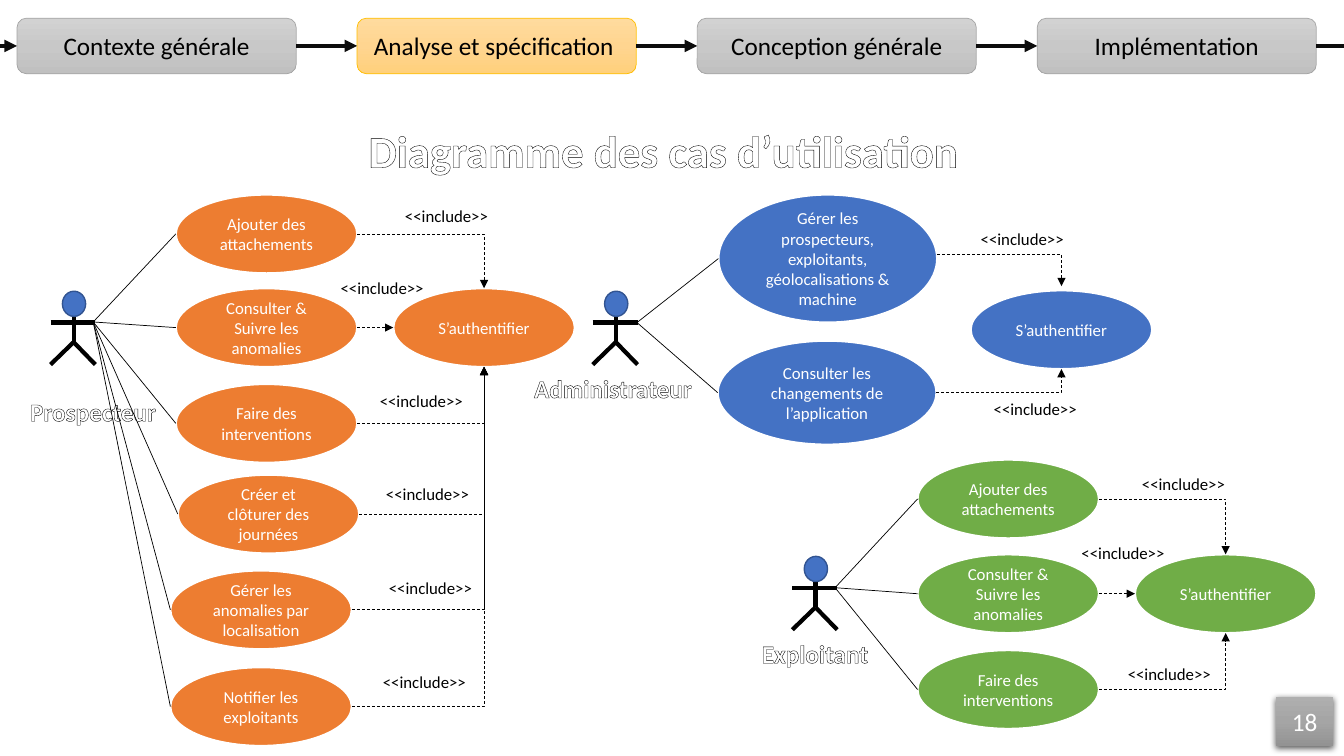
from lxml import etree
from pptx import Presentation
from pptx import util as u
from pptx.dml.color import RGBColor
from pptx.enum import dml, shapes, text
from pptx.oxml import ns, parse_xml

HUES = {
    "ink": "000000", "paper": "FFFFFF", "arrow": "0D0D0D",
    "orange": "ED7D31", "blue": "4472C4", "green": "70AD47", "rim": "325491",
    "grey": "A5A5A5", "gold": "FFC000",
}
FADES = {
    "grey": ("D2D2D2", "C8C8C8", "C0C0C0"),
    "gold": ("FFDB9E", "FFD590", "FFD07C"),
    "page": ("AFAFAF", "A5A5A5", "939393"),
}
KIND = shapes.MSO_SHAPE
LINK = shapes.MSO_CONNECTOR
MID = text.PP_ALIGN.CENTER
OVAL = (129.6, 56.2)


def rgb(name):
    return RGBColor.from_string(HUES[name])


def sub(node, tag, **attrs):
    return etree.SubElement(node, ns.qn(tag), **attrs)


class Board:
    """Holds the slide and the shared style; all lengths are in points."""

    font = "Calibri"

    def __init__(self, slide):
        self.slide = slide

    def letter(self, shape, words, size, hue, align=None, edge=0):
        """Fill a shape with text; edge is the width of the letter outline."""
        frame = shape.text_frame
        frame.text = words
        frame.word_wrap = True
        para = frame.paragraphs[0]
        para.alignment = align
        run = para.runs[0]
        run.font.name, run.font.size = self.font, u.Pt(size)
        run.font.color.rgb = rgb(hue)
        if edge:
            run.font.bold = True
            ln = etree.Element(ns.qn("a:ln"), w=str(u.Pt(edge)))
            sub(sub(ln, "a:solidFill"), "a:srgbClr", val=HUES["ink"])
            run.font._element.insert(0, ln)

    def title(self, words, x, y, w, h):
        box = self.slide.shapes.title
        box.left, box.top, box.width, box.height = map(u.Pt, (x, y, w, h))
        box.text_frame.auto_size = text.MSO_AUTO_SIZE.NONE
        box.text_frame.vertical_anchor = text.MSO_ANCHOR.TOP
        self.letter(box, words, 32, "paper", MID, 0.75)

    def label(self, words, x, y, w, h, size=12, hue="ink", edge=0):
        box = self.slide.shapes.add_textbox(*map(u.Pt, (x, y, w, h)))
        self.letter(box, words, size, hue, edge=edge)

    def shape(self, kind, x, y, w, h, fill=None, line=None, width=1.5):
        item = self.slide.shapes.add_shape(kind, *map(u.Pt, (x, y, w, h)))
        item.shadow.inherit = False
        item.text_frame.vertical_anchor = text.MSO_ANCHOR.MIDDLE
        if fill:
            item.fill.solid()
            item.fill.fore_color.rgb = rgb(fill)
        if line:
            item.line.color.rgb = rgb(line)
            item.line.width = u.Pt(width)
        else:
            item.line.fill.background()
        return item

    def fade(self, item, name):
        """Give a shape a three-stop vertical gradient."""
        grad = parse_xml(f'<a:gradFill {ns.nsdecls("a")} rotWithShape="1"/>')
        stops = sub(grad, "a:gsLst")
        for i, hue in enumerate(FADES[name]):
            sub(sub(stops, "a:gs", pos=str(50000 * i)), "a:srgbClr", val=hue)
        sub(grad, "a:lin", ang="5400000", scaled="0")
        item._element.spPr.find(ns.qn("a:prstGeom")).addnext(grad)

    def line(self, x1, y1, x2, y2, width=0.5, hue="ink", tip=False, kind=LINK.STRAIGHT):
        item = self.slide.shapes.add_connector(kind, *map(u.Pt, (x1, y1, x2, y2)))
        item.line.color.rgb = rgb(hue)
        item.line.width = u.Pt(width)
        if kind == LINK.ELBOW:
            item.line.dash_style = dml.MSO_LINE.DASH
        if tip:
            sub(item.line._get_or_add_ln(), "a:tailEnd", type="triangle")
        sub(item._element.spPr, "a:effectLst")
        return item

    def bend(self, x1, y1, x2, y2):
        """Dashed arrow that runs sideways, then turns once."""
        item = self.line(x1, y1, x2, y2, tip=True, kind=LINK.ELBOW)
        if y1 != y2:
            item._element.spPr.find(ns.qn("a:prstGeom")).set("prst", "bentConnector2")

    def oval(self, words, x, y, w, h, fill):
        item = self.shape(KIND.OVAL, x, y, w, h, fill, "paper")
        self.letter(item, words, 12, "paper", MID)

    def actor(self, name, x, y, spot):
        """Stick figure whose arms cross its body at x, y."""
        limbs = [(0, -10, 0, 14), (-16.5, 0, 15.5, 0),
                 (0, 14, 15.5, 30), (0, 14, -16.5, 30)]
        for x1, y1, x2, y2 in limbs:
            self.line(x + x1, y + y1, x + x2, y + y2, 3)
        self.shape(KIND.OVAL, x - 8, y - 22.4, 16.6, 18, "blue", "rim", 1)
        self.label(name, *spot, 28.8, 18, "paper", 0.8)

    def cases(self, hue, hand, auth, rows):
        """Draw the use cases of one actor, each tied to the hand and to the login."""
        ax, ay = auth
        aw, ah = OVAL
        self.oval("S’authentifier", ax, ay, aw, ah, hue)
        for words, x, y, (w, h), spot, lift in rows:
            mid = y + h / 2
            self.oval(words, x, y, w, h, hue)
            self.line(*hand, x, mid)
            if y == ay:
                goal = ax, mid
            else:
                goal = ax + aw / 2, (ay if y < ay else ay + ah) - lift
            self.bend(x + w, mid - lift, *goal)
            self.label("<<include>>", *spot, 106.6, 21.6)

    def steps(self, names, now):
        """Draw the chapter bar with the current chapter in gold."""
        left, gap, top, w, h = 12.2, 242.9, 13, 199.4, 39.6
        mid = top + h / 2
        boxes = []
        for i, name in enumerate(names):
            tone = "gold" if i == now else "grey"
            box = self.shape(KIND.ROUNDED_RECTANGLE, left + i * gap, top, w, h, None, tone, 0.5)
            self.fade(box, tone)
            self.letter(box, name, 18, "ink", MID)
            boxes.append(box)
        for a, b in zip([None] + boxes, boxes + [None]):
            arrow = self.line(-11.5, mid, 972, mid, 3, "arrow", True)
            if a is not None:
                arrow.begin_connect(a, 3)
            if b is not None:
                arrow.end_connect(b, 1)

    def page(self, number):
        box = self.shape(KIND.RECTANGLE, 911.5, 497.5, 41, 35.3)
        self.fade(box, "page")
        self.letter(box, number, 18, "paper", MID)
        glow = sub(box._element.spPr.find(ns.qn("a:effectLst")), "a:outerShdw",
                   blurRad=str(u.Pt(4.5)), dist=str(u.Pt(1.5)), dir="5400000",
                   algn="ctr", rotWithShape="0")
        sub(sub(glow, "a:srgbClr", val=HUES["ink"]), "a:alpha", val="63000")


def main():
    deck = Presentation()
    deck.slide_width, deck.slide_height = u.Pt(960), u.Pt(540)
    board = Board(deck.slides.add_slide(deck.slide_layouts[5]))
    board.title("Diagramme des cas d’utilisation", 83.5, 84.2, 781.2, 46.1)

    board.actor("Administrateur", 439.9, 230.4, (374.4, 262.8, 131.8))
    board.cases("blue", (455, 230.4), (693.4, 207.4), [
        ("Gérer les prospecteurs, exploitants, géolocalisations & machine",
         513.2, 139, (156.2, 91.4), (693.4, 159.8), 3),
        ("Consulter les changements de l’application",
         512.7, 243.4, (156.2, 74.2), (702.7, 281.5), 0),
    ])
    add, see, act = "Ajouter des attachements", "Consulter & Suivre les anomalies", "Faire des interventions"
    board.actor("Exploitant", 582.5, 419.8, (537.1, 452.2, 103.7))
    board.cases("green", (596.5, 419.8), (810.7, 396), [
        (add, 655.4, 328.3, OVAL, (808.6, 334.8), 0),
        (see, 655.4, 396, OVAL, (765.4, 384.5), 0),
        (act, 655.4, 464.4, OVAL, (798.5, 470.2), 0),
    ])
    board.actor("Prospecteur", 52.6, 230.4, (14.4, 279.4, 113))
    board.cases("orange", (66.6, 230), (281, 205.9), [
        (add, 125.6, 139, OVAL, (282.2, 143.3), 0),
        (see, 125.6, 205.9, OVAL, (236.2, 195.1), 0),
        (act, 125.6, 274.3, OVAL, (264.2, 275.8), 0),
        ("Créer et clôturer des journées", 127, 339.1, OVAL, (268.6, 342), 0),
        ("Gérer les anomalies par localisation", 121.7, 407.5, OVAL, (270.7, 409), 0),
        ("Notifier les exploitants", 121.7, 476.6, OVAL, (266.4, 476.6), 0),
    ])
    board.steps(["Contexte générale", "Analyse et spécification ",
                 "Conception générale", "Implémentation"], 1)
    board.page("18")
    deck.save("out.pptx")


if __name__ == "__main__":
    main()
